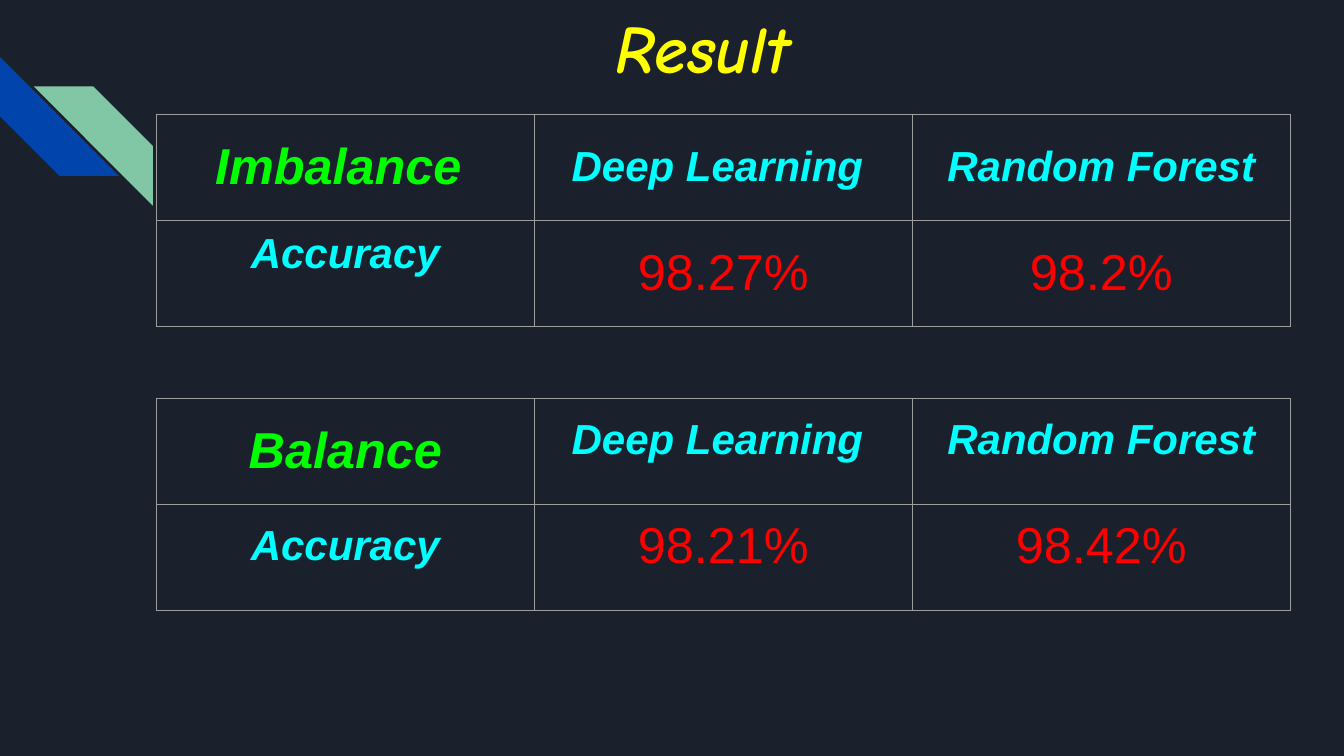
"""Build the slide of accuracy results for imbalanced and balanced data."""
import pptx
import pptx.dml.color
import pptx.enum.shapes
import pptx.enum.text
import pptx.oxml
import pptx.oxml.ns
import pptx.util
from pptx.util import Cm

RGB = pptx.dml.color.RGBColor
NIGHT = RGB(0x1B, 0x21, 0x2C)
BLUE = RGB(0x01, 0x45, 0xAC)
MINT = RGB(0x82, 0xC7, 0xA5)
YELLOW = RGB(0xFF, 0xFF, 0x00)
GREEN = RGB(0x00, 0xFF, 0x00)
CYAN = RGB(0x00, 0xFF, 0xFF)
RED = RGB(0xFF, 0x00, 0x00)
GREY = RGB(0x9E, 0x9E, 0x9E)
TOP = pptx.enum.text.MSO_ANCHOR.TOP
MIDDLE = pptx.enum.text.MSO_ANCHOR.MIDDLE


class Deck:
    """Hold the slide and its style."""

    face = "Arial"
    pad = Cm(0.25)

    def __init__(self, slide):
        self.slide = slide
        fill = slide.background.fill
        fill.solid()
        fill.fore_color.rgb = NIGHT

    def label(self, frame, text, size, color, strong=True, face=face):
        """Put one centred line in a text frame."""
        line = frame.paragraphs[0]
        line.text = text
        line.alignment = pptx.enum.text.PP_ALIGN.CENTER
        font = line.font
        font.name, font.size = face, pptx.util.Pt(size)
        font.bold = font.italic = strong
        font.color.rgb = color

    def stripe(self, left, top, turn, color):
        """Draw a diagonal stripe."""
        kind = pptx.enum.shapes.MSO_SHAPE.DIAGONAL_STRIPE
        shape = self.slide.shapes.add_shape(
            kind, Cm(left), Cm(top), Cm(3), Cm(3))
        shape.rotation = turn
        shape.shadow.inherit = False
        shape.fill.solid()
        shape.fill.fore_color.rgb = color
        shape.line.fill.background()

    def title(self, text):
        """Add the title."""
        box = self.slide.shapes.add_textbox(
            Cm(4.67), Cm(-0.18), Cm(26.06), Cm(2.18))
        frame = box.text_frame
        frame.word_wrap = True
        frame.vertical_anchor = TOP
        frame.margin_left = frame.margin_right = Cm(0.33)
        frame.margin_top = frame.margin_bottom = Cm(0.33)
        self.label(frame, text, 48, YELLOW, face="Comic Neue")

    def border(self, cell):
        """Draw the four edges of a cell."""
        space = pptx.oxml.ns.nsdecls("a")
        props = cell._tc.get_or_add_tcPr()
        for side in "LRTB":
            props.append(pptx.oxml.parse_xml(
                f'<a:ln{side} {space} w="9525"><a:solidFill>'
                f'<a:srgbClr val="{GREY}"/></a:solidFill></a:ln{side}>'))

    def table(self, top, rows, lift=0, high=()):
        """Add a table; lift raises all but the corner, high sits on top."""
        grid = self.slide.shapes.add_table(
            2, 3, Cm(3.94), Cm(top), Cm(28.58), Cm(5.34)).table
        grid.first_row = grid.horz_banding = False
        for i, row in enumerate(rows):
            for j, text in enumerate(row):
                cell = grid.cell(i, j)
                self.border(cell)
                cell.fill.background()
                cell.margin_left = cell.margin_right = self.pad
                cell.margin_top = self.pad
                cell.margin_bottom = self.pad + (Cm(lift) if i or j else 0)
                cell.vertical_anchor = TOP if (i, j) in high else MIDDLE
                if i and j:
                    style = 36, RED, False
                elif i or j:
                    style = 30, CYAN
                else:
                    style = 36, GREEN
                self.label(cell.text_frame, text, *style)


def main():
    """Build and save the slide."""
    show = pptx.Presentation()
    show.slide_width, show.slide_height = Cm(33.87), Cm(19.05)
    deck = Deck(show.slides.add_slide(show.slide_layouts[6]))
    deck.stripe(0, 1.43, 270, BLUE)
    deck.stripe(0.85, 2.18, 90, MINT)
    deck.title("Result")
    heads = ["Deep Learning ", "Random Forest"]
    deck.table(2.88, [["Imbalance ", *heads],
                      ["Accuracy", "98.27%", "98.2%"]], high=[(1, 0)])
    deck.table(10.03, [["Balance", *heads],
                       ["Accuracy", "98.21%", "98.42%"]], lift=0.55)
    show.save("out.pptx")


if __name__ == "__main__":
    main()
